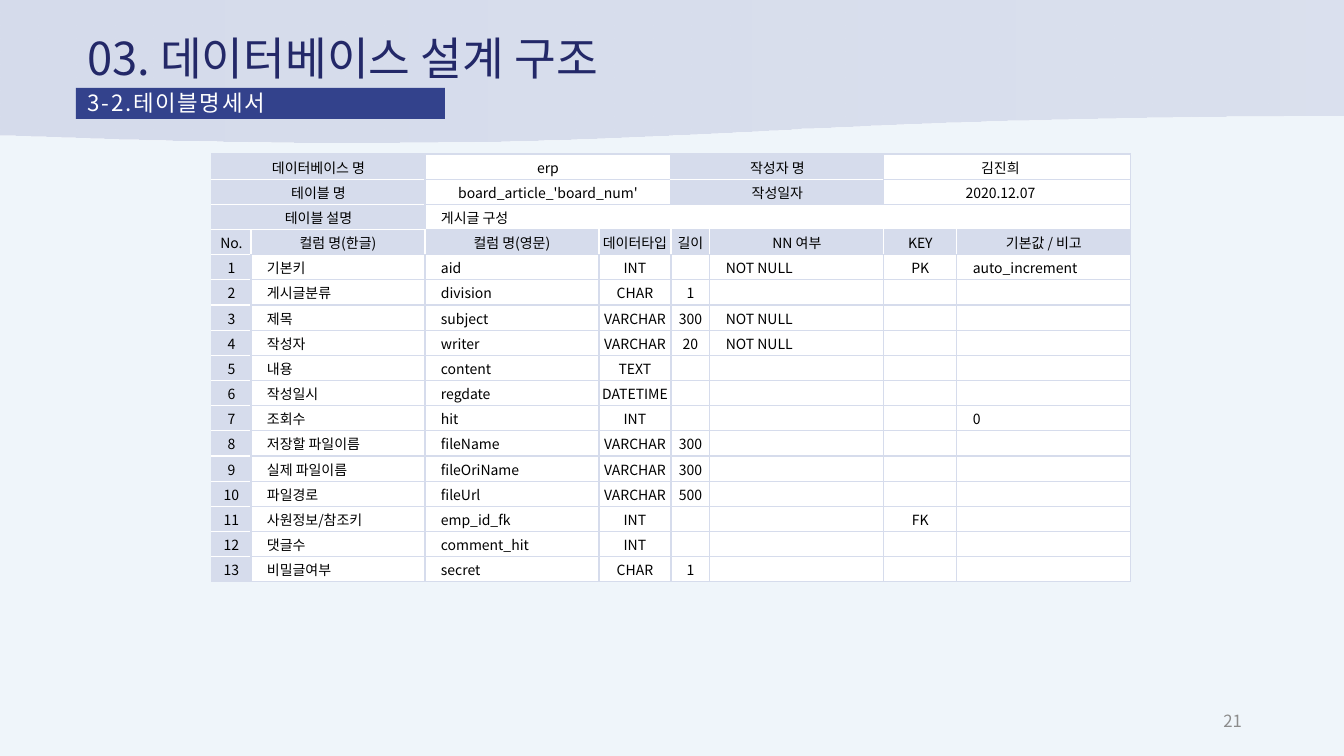
from dataclasses import dataclass

from lxml.etree import SubElement
from pptx import Presentation
from pptx.dml.color import RGBColor
from pptx.enum.shapes import MSO_SHAPE as Shape
from pptx.enum.text import MSO_ANCHOR as Anchor, MSO_AUTO_SIZE as AutoSize, PP_ALIGN as Align
from pptx.oxml.ns import qn
from pptx.util import Pt

EMU_PER_PX = 914400 / 100.8


@dataclass(frozen=True)
class Theme:
    font: str = "Noto Sans CJK KR"
    page: str = "EFF5FA"
    lilac: str = "D6DCEC"
    white: str = "FFFFFF"
    black: str = "000000"
    navy: str = "232868"
    blue: str = "33428C"
    grey: str = "8C8C8C"
    title_size: float = 32.4
    subtitle_size: float = 16
    number_size: float = 12
    table_size: float = 10
    border: float = 1


THEME = Theme()

COLUMN_WIDTHS = [39, 174, 174, 72, 39, 174, 73, 174]
INDENTED_COLUMNS = {1, 2, 5, 7}
HEADER_ROW = 3
# Summary rows list (column, columns spanned, text).
SUMMARY = [
    [(0, 2, "데이터베이스 명"), (2, 2, "erp"), (4, 2, "작성자 명"), (6, 2, "김진희　")],
    [(0, 2, "테이블 명"), (2, 2, "board_article_'board_num'"),
     (4, 2, "작성일자"), (6, 2, "2020.12.07　")],
    [(0, 2, "테이블 설명"), (2, 6, "게시글 구성")],
]
HEADINGS = ["No.", "컬럼 명(한글)", "컬럼 명(영문)", "데이터타입", "길이",
            "NN 여부", "KEY", "기본값 / 비고"]
FIELDS = [
    ("기본키", "aid", "INT", "", "NOT NULL", "PK", "auto_increment"),
    ("게시글분류", "division", "CHAR", "1", "", "", ""),
    ("제목", "subject", "VARCHAR", "300", "NOT NULL", "", ""),
    ("작성자", "writer", "VARCHAR", "20", "NOT NULL", "", ""),
    ("내용", "content", "TEXT", "", "", "", ""),
    ("작성일시", "regdate", "DATETIME", "", "", "", ""),
    ("조회수", "hit", "INT", "", "", "", "0"),
    ("저장할 파일이름", "fileName", "VARCHAR", "300", "", "", ""),
    ("실제 파일이름", "fileOriName", "VARCHAR", "300", "", "", ""),
    ("파일경로", "fileUrl", "VARCHAR", "500", "", "", ""),
    ("사원정보/참조키", "emp_id_fk", "INT", "", "", "FK", ""),
    ("댓글수", "comment_hit", "INT", "", "", "", ""),
    ("비밀글여부", "secret", "CHAR", "1", "", "", ""),
]
ROW_COUNT = len(SUMMARY) + 1 + len(FIELDS)


def px(length):
    return round(length * EMU_PER_PX)


def place(shape, left, top, width, height):
    shape.left, shape.top, shape.width, shape.height = map(px, (left, top, width, height))


def paint(fill, color):
    fill.solid()
    fill.fore_color.rgb = RGBColor.from_string(color)


def write(frame, text, size, color, align=Align.LEFT, tracking=None):
    frame.text = text
    paragraph = frame.paragraphs[0]
    paragraph.alignment = align
    for run in paragraph.runs:
        run.font.size = Pt(size)
        run.font.name = THEME.font
        run.font.color.rgb = RGBColor.from_string(color)
        properties = run.font._element
        SubElement(properties, qn("a:ea"), typeface=THEME.font)
        if tracking:
            properties.set("spc", str(tracking))
    if not text:
        paragraph._p.get_or_add_endParaRPr().set("sz", str(Pt(size).centipoints))
    return paragraph


def add_header_band(slide):
    band = slide.shapes.add_shape(Shape.FLOWCHART_DOCUMENT, 0, 0, px(1344), px(144))
    band.shadow.inherit = False
    band.line.fill.background()
    band.fill.gradient()
    band.fill.gradient_angle = 0
    for stop in band.fill.gradient_stops:
        stop.color.rgb = RGBColor.from_string(THEME.lilac)
    last_color = band._element.spPr.findall(".//" + qn("a:srgbClr"))[-1]
    SubElement(last_color, qn("a:alpha"), val="80000")
    slide.shapes._spTree.insert(2, band._element)  # behind the placeholders


def fill_title(title, text):
    place(title, 77, 28, 862, 58)
    title.text_frame.auto_size = AutoSize.NONE
    title.text_frame.vertical_anchor = Anchor.MIDDLE
    write(title.text_frame, text, THEME.title_size, THEME.navy)


def fill_subtitle(subtitle, text):
    place(subtitle, 76, 88, 369, 31)
    paint(subtitle.fill, THEME.blue)
    frame = subtitle.text_frame
    frame.auto_size = AutoSize.NONE
    frame.vertical_anchor = Anchor.TOP
    frame.margin_left = frame.margin_right = px(12)
    frame.margin_top, frame.margin_bottom = px(4), px(5)
    paragraph = write(frame, text, THEME.subtitle_size, THEME.white, Align.JUSTIFY, 120)
    paragraph.space_before = Pt(0)
    paragraph.line_spacing = 0.9
    properties = paragraph._p.get_or_add_pPr()
    properties.set("marL", "0")
    properties.set("indent", "0")
    SubElement(properties, qn("a:buNone"))


def is_shaded(row, column):
    if row < HEADER_ROW:
        return column in (0, 1) or (column in (4, 5) and row < 2)
    return row == HEADER_ROW or column == 0


def edge_color(here, beyond):
    """White between two shaded cells, lilac on every other edge."""
    row, column = beyond
    inside = 0 <= row < ROW_COUNT and 0 <= column < len(COLUMN_WIDTHS)
    return THEME.white if inside and is_shaded(*here) and is_shaded(*beyond) else THEME.lilac


def add_borders(cell, row, column, span):
    neighbours = {"L": (row, column - 1), "R": (row, column + span),
                  "T": (row - 1, column), "B": (row + 1, column)}
    properties = cell._tc.get_or_add_tcPr()
    for side, beyond in neighbours.items():
        line = SubElement(properties, qn(f"a:ln{side}"), w=str(Pt(THEME.border)))
        solid = SubElement(line, qn("a:solidFill"))
        SubElement(solid, qn("a:srgbClr"), val=edge_color((row, column), beyond))


def fill_cell(table, row, column, text, span=1, indented=False):
    cell = table.cell(row, column)
    if span > 1:
        cell.merge(table.cell(row, column + span - 1))
    add_borders(cell, row, column, span)
    paint(cell.fill, THEME.lilac if is_shaded(row, column) else THEME.white)
    cell.vertical_anchor = Anchor.MIDDLE
    cell.margin_left = px(16 if indented else 1)
    cell.margin_right = cell.margin_top = px(1)
    cell.margin_bottom = 0
    write(cell.text_frame, text, THEME.table_size, THEME.black,
          Align.LEFT if indented else Align.CENTER)


def add_specification(slide):
    height = px(428)
    table = slide.shapes.add_table(ROW_COUNT, len(COLUMN_WIDTHS), px(212), px(154),
                                   px(sum(COLUMN_WIDTHS)), height).table
    table.first_row = table.horz_banding = False
    for column, width in zip(table.columns, COLUMN_WIDTHS):
        column.width = px(width)
    for row in table.rows:
        row.height = height // ROW_COUNT

    for row, entries in enumerate(SUMMARY):
        for column, span, text in entries:
            fill_cell(table, row, column, text, span, indented=span == 6)
    for column, heading in enumerate(HEADINGS):
        fill_cell(table, HEADER_ROW, column, heading)
    for number, field in enumerate(FIELDS, 1):
        for column, text in enumerate((str(number), *field)):
            fill_cell(table, HEADER_ROW + number, column, text,
                      indented=column in INDENTED_COLUMNS)


def add_page_number(slide, number):
    frame = slide.shapes.add_textbox(px(950), px(701), px(302), px(40)).text_frame
    frame.word_wrap = True
    frame.vertical_anchor = Anchor.MIDDLE
    write(frame, number, THEME.number_size, THEME.grey, Align.RIGHT)


def main():
    deck = Presentation()
    deck.slide_width, deck.slide_height = px(1344), px(756)
    slide = deck.slides.add_slide(deck.slide_layouts[1])
    paint(slide.background.fill, THEME.page)
    title, subtitle = slide.placeholders
    add_header_band(slide)
    add_page_number(slide, "21")
    add_specification(slide)
    fill_title(title, "03. 데이터베이스 설계 구조")
    fill_subtitle(subtitle, "3-2.테이블명세서")
    deck.save("out.pptx")


if __name__ == "__main__":
    main()
